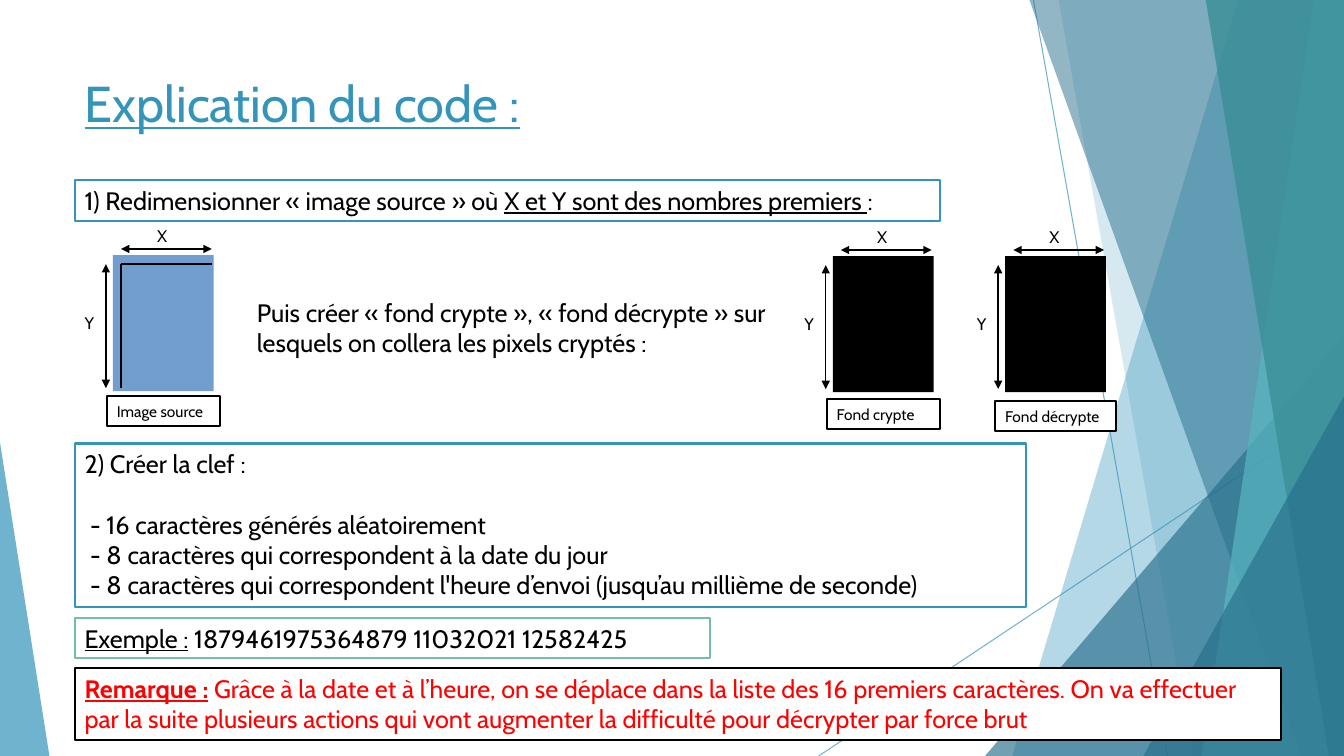
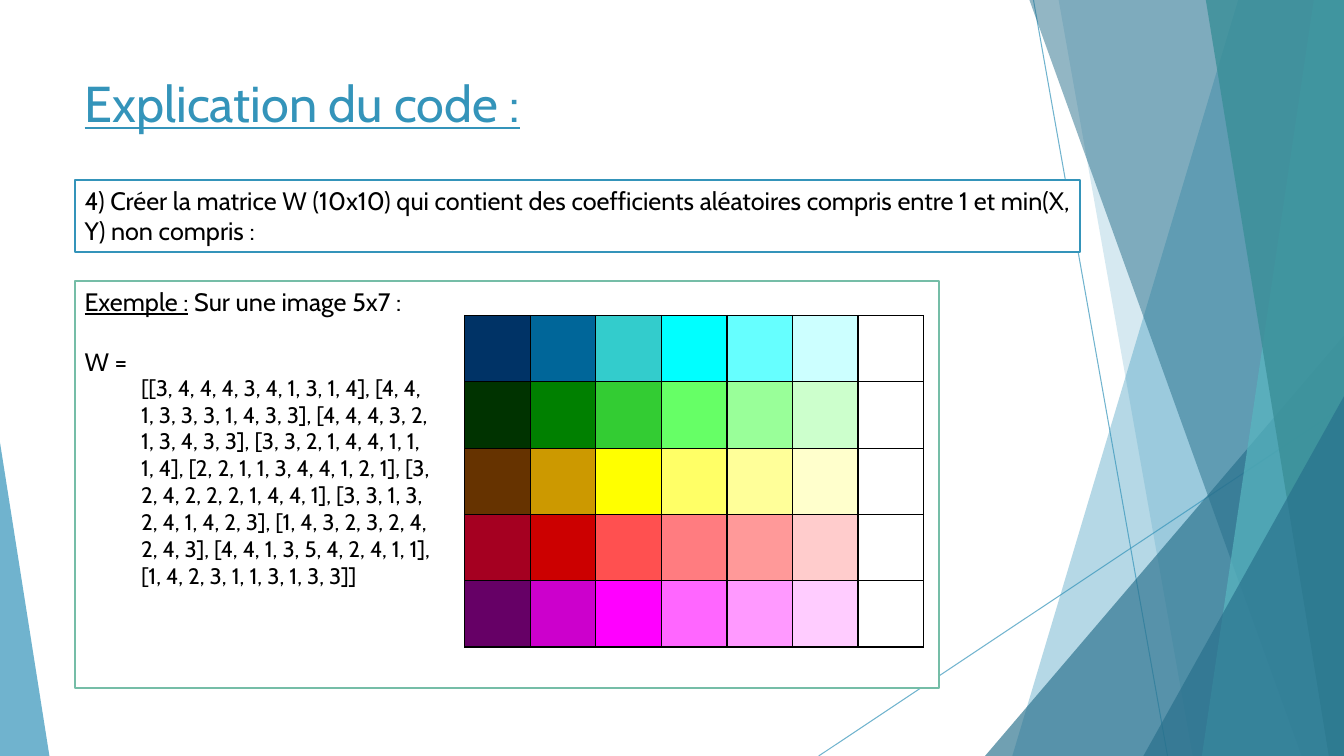
from lxml.etree import SubElement
from pptx import Presentation
from pptx.dml.color import RGBColor
from pptx.enum.shapes import MSO_CONNECTOR, MSO_SHAPE
from pptx.enum.text import MSO_ANCHOR, PP_ALIGN
from pptx.oxml.ns import qn
from pptx.util import Inches, Pt

WIDTH, HEIGHT = 13.33, 7.5
MARGIN = 0.74
FONT = "Cabin"
BLUE, DEEP_BLUE, TURQUOISE, TEAL = "3494BA", "276F8B", "58B6C0", "3A8F98"
GREEN, IMAGE_BLUE, RED = "75BDA7", "719ECE", "FF0000"
BLACK, WHITE = "000000", "FFFFFF"
TITLE = "Explication du code :"

# Slanted bands reaching the right edge: top x, bottom x, colour, opacity
BACK_BANDS = [(12.28, 10.04, BLUE, 36), (10.5, 11.83, BLUE, 20)]
FRONT_BANDS = [
    (10.21, 12.91, DEEP_BLUE, 50),
    (13.03, 11.92, TURQUOISE, 70),
    (11.96, 13.18, TEAL, 80),
]

PALETTE = [
    ["003366", "006699", "33CCCC", "00FFFF", "66FFFF", "CCFFFF", WHITE],
    ["003300", "008000", "33CC33", "66FF66", "99FF99", "CCFFCC", WHITE],
    ["663300", "CC9900", "FFFF00", "FFFF66", "FFFF99", "FFFFCC", WHITE],
    ["A50021", "CC0000", "FF5050", "FF7C80", "FF9999", "FFCCCC", WHITE],
    ["660066", "CC00CC", "FF00FF", "FF66FF", "FF99FF", "FFCCFF", WHITE],
]

MATRIX = (
    "[[3, 4, 4, 4, 3, 4, 1, 3, 1, 4], [4, 4, 1, 3, 3, 3, 1, 4, 3, 3], "
    "[4, 4, 4, 3, 2, 1, 3, 4, 3, 3], [3, 3, 2, 1, 4, 4, 1, 1, 1, 4], "
    "[2, 2, 1, 1, 3, 4, 4, 1, 2, 1], [3, 2, 4, 2, 2, 2, 1, 4, 4, 1], "
    "[3, 3, 1, 3, 2, 4, 1, 4, 2, 3], [1, 4, 3, 2, 3, 2, 4, 2, 4, 3], "
    "[4, 4, 1, 3, 5, 4, 2, 4, 1, 1], [1, 4, 2, 3, 1, 1, 3, 1, 3, 3]]"
)


def paint(color_format, color, opacity=100):
    color_format.rgb = RGBColor.from_string(color)
    return opacity


def set_opacity(element, opacity):
    for color in element.iter(qn("a:srgbClr")):
        SubElement(color, qn("a:alpha"), val=str(opacity * 1000))


def style_shape(shape, fill, line=None, opacity=100):
    shape.shadow.inherit = False
    shape.fill.solid()
    paint(shape.fill.fore_color, fill)
    if opacity < 100:
        set_opacity(shape._element.spPr, opacity)
    if line:
        paint(shape.line.color, line)
        shape.line.width = Pt(1.5)
    else:
        shape.line.fill.background()


def add_line(slide, start, end, color=BLACK, width=1, arrows=False, opacity=100):
    points = [Inches(value) for value in (*start, *end)]
    connector = slide.shapes.add_connector(MSO_CONNECTOR.STRAIGHT, *points)
    paint(connector.line.color, color)
    connector.line.width = Pt(width)
    properties = connector._element.spPr
    if opacity < 100:
        set_opacity(properties, opacity)
    if arrows:
        outline = properties.find(qn("a:ln"))
        for tag in ("a:headEnd", "a:tailEnd"):
            SubElement(outline, qn(tag), type="triangle")
    SubElement(properties, qn("a:effectLst"))


def add_shape(slide, box, fill, line=None, opacity=100, kind=MSO_SHAPE.RECTANGLE):
    shape = slide.shapes.add_shape(kind, *map(Inches, box))
    style_shape(shape, fill, line, opacity)
    return shape


def add_triangle(slide, box, color, opacity, apex):
    shape = add_shape(slide, box, color, None, opacity, MSO_SHAPE.ISOSCELES_TRIANGLE)
    shape.adjustments[0] = apex


def write(shape, paragraphs, size=18, color=BLACK):
    """Each paragraph is a string or a list of (text, is_underlined) runs."""
    frame = shape.text_frame
    frame.word_wrap = True
    frame.vertical_anchor = MSO_ANCHOR.TOP
    for index, content in enumerate(paragraphs):
        paragraph = frame.add_paragraph() if index else frame.paragraphs[0]
        paragraph.alignment = PP_ALIGN.LEFT
        runs = [(content, False)] if isinstance(content, str) else content
        for text, underlined in runs:
            run = paragraph.add_run()
            run.text = text
            run.font.name = FONT
            run.font.size = Pt(size)
            run.font.underline = underlined
            paint(run.font.color, color)
    return frame


def add_text(slide, box, paragraphs, size=18, color=BLACK):
    return write(slide.shapes.add_textbox(*map(Inches, box)), paragraphs, size, color)


def add_panel(slide, box, paragraphs, line=BLUE, size=18, color=BLACK):
    return write(add_shape(slide, box, WHITE, line), paragraphs, size, color)


def add_bands(slide, bands):
    for top_x, bottom_x, color, opacity in bands:
        corners = [(top_x, 0), (WIDTH, 0), (WIDTH, HEIGHT), (bottom_x, HEIGHT)]
        points = [(Inches(x), Inches(y)) for x, y in corners]
        builder = slide.shapes.build_freeform(*points[0])
        builder.add_line_segments(points[1:], close=True)
        style_shape(builder.convert_to_shape(), color, None, opacity)


def add_base_slide(presentation):
    """Blank slide with the faceted decoration and the title."""
    slide = presentation.slides.add_slide(presentation.slide_layouts[6])
    add_line(slide, (10.25, 0), (11.58, HEIGHT), BLUE, 0.75, opacity=70)
    add_line(slide, (WIDTH, 4.03), (8.12, HEIGHT), BLUE, 0.75, opacity=70)
    add_bands(slide, BACK_BANDS)
    add_triangle(slide, (9.77, 3.33, 3.56, 4.17), DEEP_BLUE, 66, 1)
    add_bands(slide, FRONT_BANDS)
    add_triangle(slide, (11.34, 3.93, 1.99, 3.57), DEEP_BLUE, 66, 1)
    add_triangle(slide, (0, 4.39, 0.49, 3.11), BLUE, 70, 0)
    add_text(slide, (MARGIN, 0.67, 5.19, 0.81), [[(TITLE, True)]], 36, BLUE)
    return slide


def add_image_diagram(slide, left, top, fill, caption, caption_box, corner=False):
    """Image rectangle with its X and Y dimensions and a caption."""
    x_start, x_end = left + 0.08, left + 0.98
    y_start, y_end = top + 0.09, top + 1.32
    add_line(slide, (x_start, top - 0.06), (x_end, top - 0.06), arrows=True)
    add_line(slide, (left - 0.07, y_start), (left - 0.07, y_end), arrows=True)
    add_shape(slide, (left, top, 1, 1.35), fill)
    if corner:
        add_line(slide, (x_end, y_start), (x_start, y_start))
        add_line(slide, (x_start, y_end), (x_start, y_start))
    add_text(slide, (left + 0.34, top - 0.34, 0.31, 0.3), ["X"], 12)
    add_text(slide, (left - 0.38, top + 0.52, 0.31, 0.3), ["Y"], 12)
    frame = add_panel(slide, caption_box, [caption], BLACK, 11)
    frame.paragraphs[0].line_spacing = 1.07


def add_palette_table(slide, left, top, width, height):
    rows, columns = len(PALETTE), len(PALETTE[0])
    frame = slide.shapes.add_table(rows, columns, *map(Inches, (left, top, width, height)))
    table = frame.table
    table.first_row = table.horz_banding = False
    for row, colors in enumerate(PALETTE):
        for column, color in enumerate(colors):
            cell = table.cell(row, column)
            properties = cell._tc.get_or_add_tcPr()
            for side in ("a:lnL", "a:lnR", "a:lnT", "a:lnB"):
                border = SubElement(properties, qn(side), w=str(Pt(1)))
                solid = SubElement(border, qn("a:solidFill"))
                SubElement(solid, qn("a:srgbClr"), val=BLACK)
            cell.fill.solid()
            paint(cell.fill.fore_color, color)


def add_key_slide(presentation):
    slide = add_base_slide(presentation)
    # Step 1: resized image and its two backgrounds
    add_panel(slide, (MARGIN, 1.79, 8.58, 0.4), [[
        ("1) Redimensionner « image source » où ", False),
        ("X et Y sont des nombres premiers ", True),
        (":", False),
    ]])
    add_text(slide, (2.45, 2.9, 5.44, 0.71), [
        "Puis créer « fond crypte », « fond décrypte » sur lesquels on collera "
        "les pixels cryptés :"
    ])
    add_image_diagram(slide, 1.12, 2.53, IMAGE_BLUE, "Image source",
                      (1.06, 3.93, 1.12, 0.3), corner=True)
    add_image_diagram(slide, 8.26, 2.54, BLACK, "Fond crypte", (8.2, 3.96, 1.12, 0.3))
    add_image_diagram(slide, 9.97, 2.54, BLACK, "Fond décrypte", (9.87, 3.98, 1.2, 0.3))
    # Step 2: key
    key = add_panel(slide, (MARGIN, 4.4, 9.44, 1.62), [
        "2) Créer la clef :",
        " - 16 caractères générés aléatoirement",
        " - 8 caractères qui correspondent à la date du jour",
        " - 8 caractères qui correspondent l'heure d’envoi (jusqu’au millième de seconde)",
    ])
    key.paragraphs[1].space_before = Pt(21.5)
    # Example and remark
    add_panel(slide, (MARGIN, 6.13, 6.3, 0.4), [[
        ("Exemple :", True), (" 1879461975364879 11032021 12582425", False),
    ]], GREEN)
    remark = add_panel(slide, (MARGIN, 6.63, 11.97, 0.71), [[
        ("Remarque :", True),
        (" Grâce à la date et à l’heure, on se déplace dans la liste des 16 premiers "
         "caractères. On va effectuer par la suite plusieurs actions qui vont augmenter "
         "la difficulté pour décrypter par force brut", False),
    ]], BLACK, color=RED)
    remark.paragraphs[0].runs[0].font.bold = True


def add_matrix_slide(presentation):
    slide = add_base_slide(presentation)
    # Step 4: matrix
    add_panel(slide, (MARGIN, 1.79, 9.97, 0.71), [
        "4) Créer la matrice W (10x10) qui contient des coefficients aléatoires "
        "compris entre 1 et min(X, Y) non compris :"
    ])
    # Example with the matrix values and the coloured image
    example = add_panel(slide, (MARGIN, 2.79, 8.57, 4.04), [
        [("Exemple :", True), (" Sur une image 5x7 :", False)], "W =",
    ], GREEN)
    example.paragraphs[1].space_before = Pt(21.5)
    add_palette_table(slide, 4.61, 3.13, 4.55, 3.29)
    values = add_panel(slide, (1.4, 3.43, 2.92, 2.69), [MATRIX], None, 16)
    values.vertical_anchor = MSO_ANCHOR.MIDDLE
    values.margin_left = values.margin_right = 0
    values.margin_top = values.margin_bottom = 0


def main():
    presentation = Presentation()
    presentation.slide_width = Inches(WIDTH)
    presentation.slide_height = Inches(HEIGHT)
    add_key_slide(presentation)
    add_matrix_slide(presentation)
    presentation.save("out.pptx")


if __name__ == "__main__":
    main()
